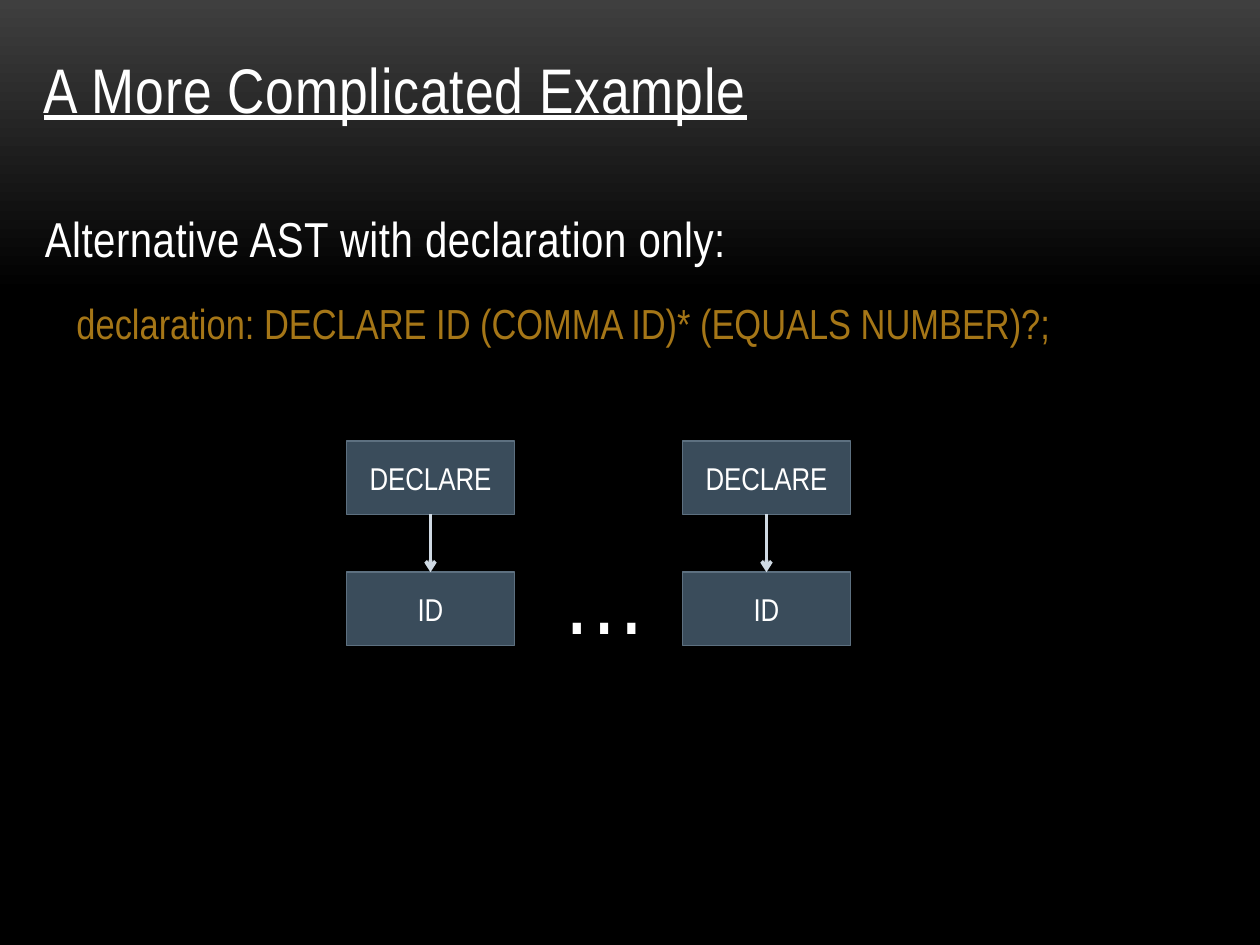
from lxml import etree
from pptx import Presentation
from pptx import util as u
from pptx.dml.color import RGBColor
from pptx.enum import shapes, text
from pptx.oxml import ns

COLORS = {
    "top": "3F3F3F", "base": "000000", "words": "FFFFFF", "grammar": "A57617",
    "node": "3A4C5B", "edge": "5D7080", "arrow": "CFD9E3",
}
CELL = u.Inches(1 / 12)  # the page is 120 columns by 90 rows


def rgb(name):
    """Return a named colour."""
    return RGBColor.from_string(COLORS[name])


def assign(target, values):
    """Set each attribute of target from a dict."""
    for name, value in values.items():
        setattr(target, name, value)


def grid(*cells):
    """Turn columns or rows into lengths."""
    return [u.Emu(round(cell * CELL)) for cell in cells]


class Slide:
    """The current page and its style."""

    font = "Arial Narrow"

    def __init__(self, deck):
        """Add a blank page with a fading background."""
        self.page = deck.slides.add_slide(deck.slide_layouts[6])
        fill = self.page.background.fill
        fill.gradient()
        fill.gradient_angle = 270
        for stop, position, color in zip(fill.gradient_stops, (0, 0.31), ("top", "base")):
            stop.position = position
            stop.color.rgb = rgb(color)

    def add_words(self, para, words, size, color="words", spacing=0, underline=False, **layout):
        """Put one styled span in a paragraph."""
        assign(para, layout)
        span = para.add_run()
        span.text = words
        assign(span.font, {"name": self.font, "size": u.Pt(size), "underline": underline})
        span.font.color.rgb = rgb(color)
        if spacing:
            span.font._element.set("spc", str(round(spacing * 100)))
        return para

    def textbox(self, place, wrap=True, anchor=text.MSO_ANCHOR.TOP):
        """Add a text box and return its frame."""
        frame = self.page.shapes.add_textbox(*grid(*place)).text_frame
        assign(frame, {"word_wrap": wrap, "vertical_anchor": anchor})
        return frame

    def node(self, place, words):
        """Add a labelled tree node."""
        box = self.page.shapes.add_shape(shapes.MSO_SHAPE.RECTANGLE, *grid(*place))
        box.shadow.inherit = False
        box.fill.solid()
        box.fill.fore_color.rgb = rgb("node")
        box.line.color.rgb = rgb("edge")
        box.line.width = u.Pt(0.85)
        box.text_frame.vertical_anchor = text.MSO_ANCHOR.MIDDLE
        self.add_words(box.text_frame.paragraphs[0], words, 18, alignment=text.PP_ALIGN.CENTER)

    def arrow(self, start, end):
        """Add an arrow between two grid points."""
        line = self.page.shapes.add_connector(
            shapes.MSO_CONNECTOR.STRAIGHT, *grid(*start, *end))
        line.line.color.rgb = rgb("arrow")
        line.line.width = u.Pt(2)
        outline = line._element.spPr.find(ns.qn("a:ln"))
        etree.SubElement(outline, ns.qn("a:tailEnd"), type="arrow")
        etree.SubElement(line._element.spPr, ns.qn("a:effectLst"))


def build():
    """Build and save the deck."""
    deck = Presentation()
    assign(deck, {"slide_width": 120 * CELL, "slide_height": 90 * CELL})
    slide = Slide(deck)

    ellipsis = slide.textbox((52.3, 49.8, 10.7, 13.3), wrap=False)
    slide.add_words(ellipsis.paragraphs[0], "…", 60)

    body = slide.textbox((3.1, 19.3, 113.9, 14.3))
    slide.add_words(body.paragraphs[0], "Alternative AST with declaration only:", 28,
                    spacing=0.3, space_before=u.Pt(2), space_after=u.Pt(6))
    rule = slide.add_words(body.add_paragraph(),
                           "declaration: DECLARE ID (COMMA ID)* (EQUALS NUMBER)?;", 24,
                           color="grammar", space_before=u.Pt(11))
    rule._p.get_or_add_pPr().set("indent", str(u.Inches(0.25)))

    title = slide.textbox((3, 3, 107, 9.6), anchor=text.MSO_ANCHOR.BOTTOM)
    slide.add_words(title.paragraphs[0], "A More Complicated Example", 36,
                    spacing=0.5, underline=True)

    width, height, parent_row, child_row = 16, 7, 42, 54.5
    for column in (33, 65):
        slide.node((column, parent_row, width, height), "DECLARE")
        slide.node((column, child_row, width, height), "ID")
        middle = column + width / 2
        slide.arrow((middle, parent_row + height), (middle, child_row))

    deck.save("out.pptx")


build()
